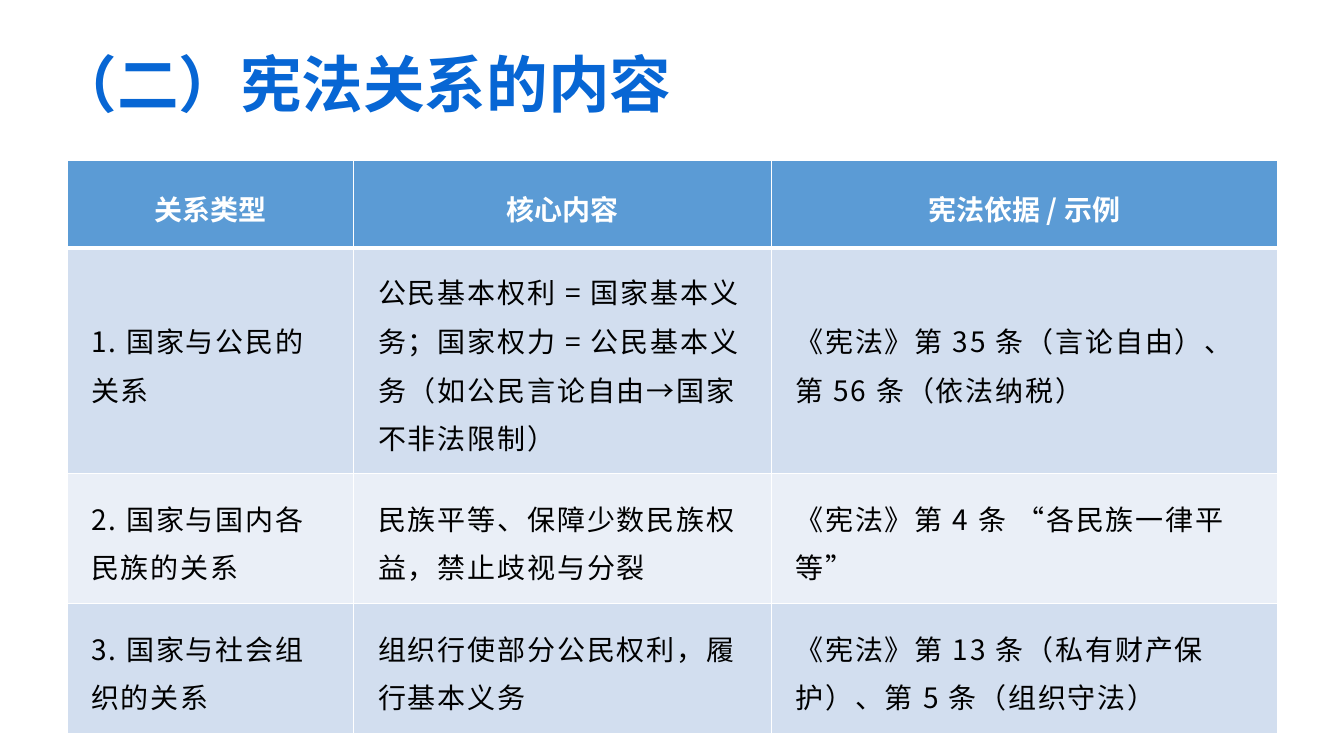
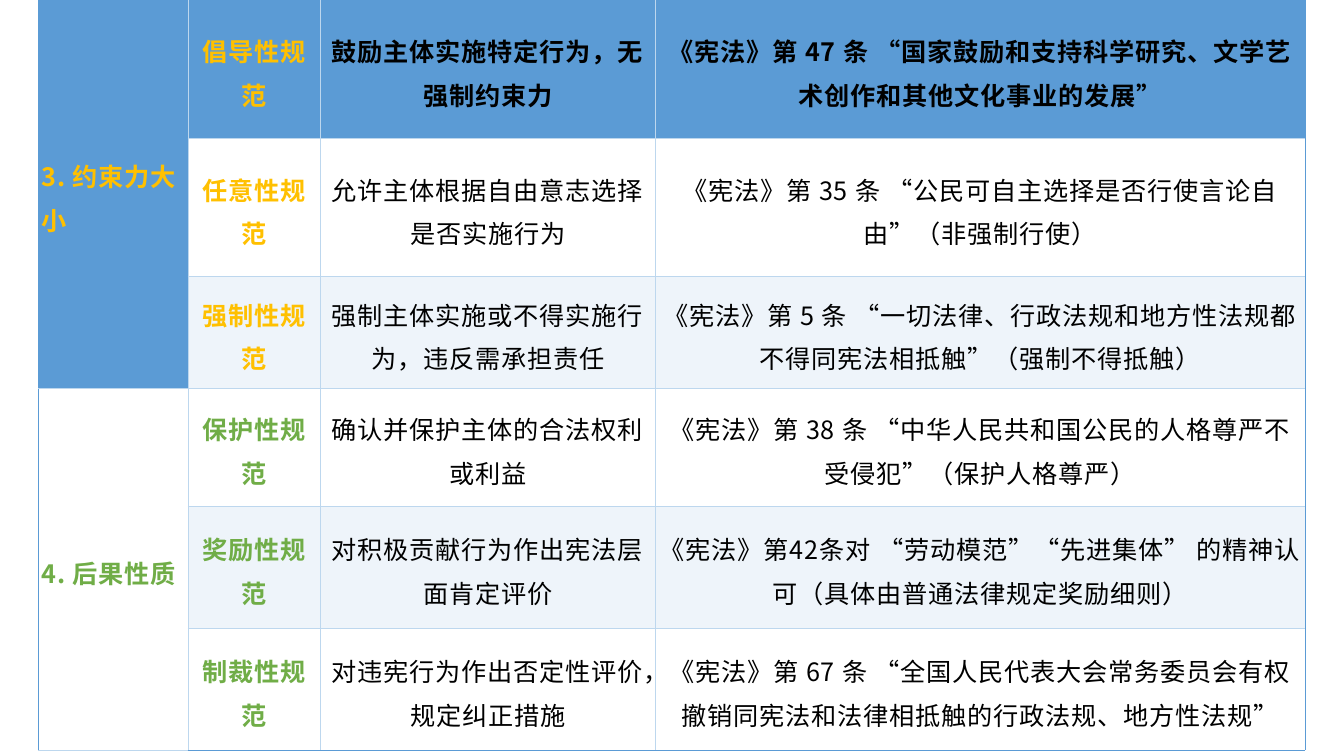
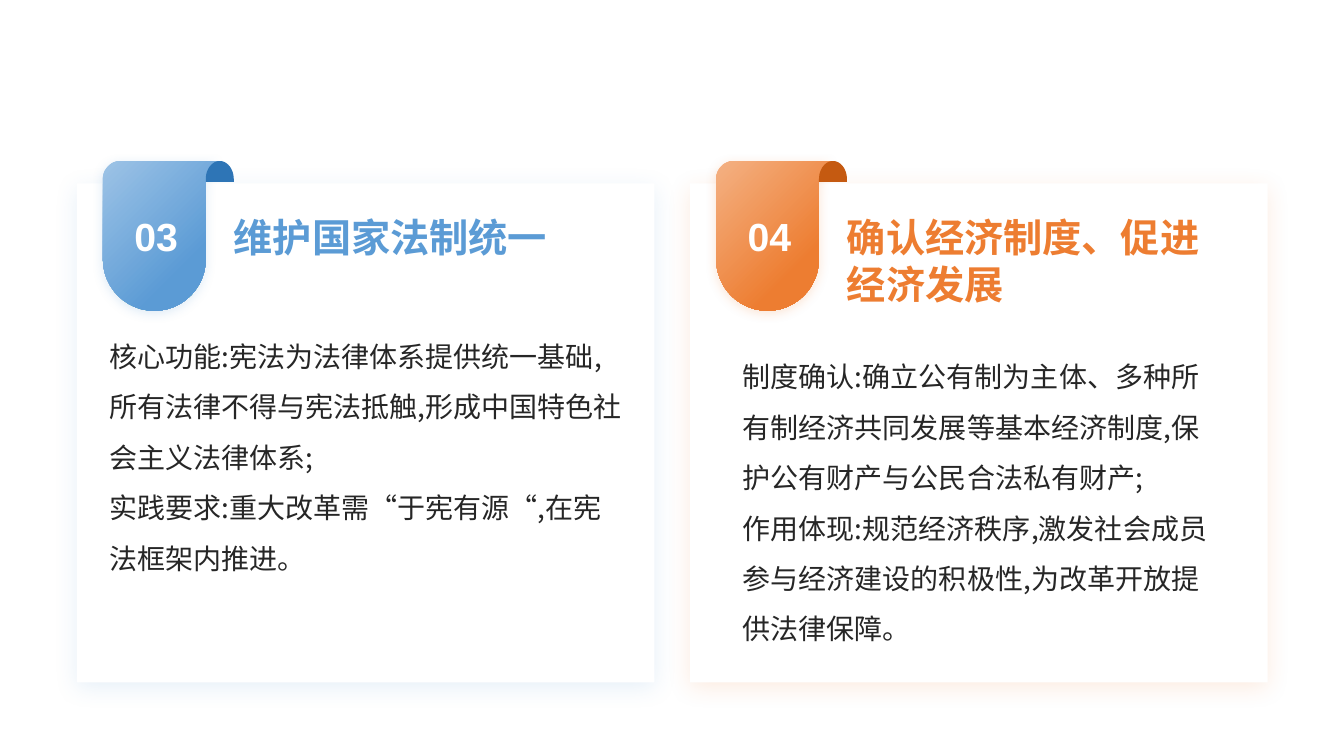
import dataclasses
import math

import lxml.etree
import pptx
import pptx.dml.color
import pptx.enum.lang
import pptx.enum.shapes
import pptx.enum.text
import pptx.oxml.ns
import pptx.util

Pt = pptx.util.Pt
qn = pptx.oxml.ns.qn
ALIGN = pptx.enum.text.PP_ALIGN
ANCHOR = pptx.enum.text.MSO_ANCHOR
TITLE_ONLY, COMPARISON, BLANK = 5, 4, 6


@dataclasses.dataclass(frozen=True)
class Theme:
    title: str = "0766D4"
    blue: str = "5B9BD5"
    blue_light: str = "9DC3E6"
    blue_dark: str = "2E75B6"
    orange: str = "ED7D31"
    orange_light: str = "F4B183"
    orange_dark: str = "C55A11"
    amber: str = "FFC000"
    green: str = "70AD47"
    pale: str = "BDD7EE"
    band_dark: str = "D2DEEF"
    band_light: str = "EAEFF7"
    white: str = "FFFFFF"
    black: str = "000000"
    ink: str = "262626"
    latin: str = "Arial"
    chinese: str = "Noto Sans CJK SC"
    title_size: int = 44
    heading_size: int = 28
    body_size: int = 20
    dense_size: int = 18


THEME = Theme()


def rgb(code):
    return pptx.dml.color.RGBColor.from_string(code)


def assign(target, values):
    for name, value in values.items():
        setattr(target, name, value)


def add_xml(parent, tag, **attributes):
    return lxml.etree.SubElement(parent, qn(tag), attributes)


def arc(cx, cy, rx, ry, start, end, steps=24):
    """Points along an ellipse; degrees run clockwise from the right."""
    angles = (math.radians(start + (end - start) * i / steps) for i in range(steps + 1))
    return [(cx + rx * math.cos(a), cy + ry * math.sin(a)) for a in angles]


class Deck:
    def __init__(self, theme):
        self.theme = theme
        self.file = pptx.Presentation()
        assign(self.file, {"slide_width": Pt(960), "slide_height": Pt(540)})
        self.slide = None

    def new_slide(self, layout):
        self.slide = self.file.slides.add_slide(self.file.slide_layouts[layout])

    def set_text(self, frame, lines, size, color, bold=False, font=None,
                 spacing=None, align=ALIGN.LEFT, leading=1.0, bare=False):
        """Fill a text frame; bare drops inherited bullets and indents."""
        for number, line in enumerate(lines):
            paragraph = frame.paragraphs[0] if number == 0 else frame.add_paragraph()
            if bare:
                properties = paragraph._p.get_or_add_pPr()
                properties.set("marL", "0")
                properties.set("indent", "0")
                add_xml(properties, "a:buNone")
            assign(paragraph, {"alignment": align, "line_spacing": leading,
                               "space_before": Pt(0), "space_after": Pt(0)})
            run = paragraph.add_run()
            run.text = line
            assign(run.font, {
                "size": Pt(size), "bold": bold, "name": font or self.theme.chinese,
                "language_id": pptx.enum.lang.MSO_LANGUAGE_ID.SIMPLIFIED_CHINESE})
            run.font.color.rgb = rgb(color)
            run_properties = run._r.get_or_add_rPr()
            add_xml(run_properties, "a:ea", typeface=self.theme.chinese)
            if spacing:
                run_properties.set("spc", str(round(spacing * 100)))

    def placeholder(self, index, box, lines, inset=False, anchor=ANCHOR.TOP, **text):
        holder = self.slide.placeholders[index]
        assign(holder, dict(zip(("left", "top", "width", "height"), map(Pt, box))))
        holder.element.getparent().append(holder.element)
        frame = holder.text_frame
        assign(frame, {"word_wrap": True, "vertical_anchor": anchor,
                       "auto_size": pptx.enum.text.MSO_AUTO_SIZE.NONE})
        if not inset:
            assign(frame, dict.fromkeys(
                ("margin_left", "margin_top", "margin_right", "margin_bottom"), 0))
        self.set_text(frame, lines, bare=True, **text)

    def title(self, text):
        self.placeholder(0, (32.4, 10, 880, 104.5), [text], inset=True,
                         anchor=ANCHOR.MIDDLE, size=self.theme.title_size, bold=True,
                         color=self.theme.title, font=self.theme.latin, leading=0.9)

    def drop_title(self):
        heading = self.slide.shapes.title.element
        heading.getparent().remove(heading)

    def shadow(self, shape, color, opacity, blur, distance):
        effects = shape.element.spPr.find(qn("a:effectLst"))
        outer = add_xml(effects, "a:outerShdw", blurRad=str(Pt(blur)),
                        dist=str(Pt(distance)), dir="5400000", algn="t", rotWithShape="0")
        tone = add_xml(outer, "a:srgbClr", val=color)
        add_xml(tone, "a:alpha", val=str(opacity * 1000))

    def card(self, box, glow):
        card = self.slide.shapes.add_shape(
            pptx.enum.shapes.MSO_SHAPE.RECTANGLE, *map(Pt, box))
        card.shadow.inherit = False
        card.fill.solid()
        card.fill.fore_color.rgb = rgb(self.theme.white)
        card.line.fill.background()
        self.shadow(card, glow, 15, 17, 4)

    def outline(self, left, top, points):
        (x, y), *rest = [(Pt(left + px), Pt(top + py)) for px, py in points]
        builder = self.slide.shapes.build_freeform(x, y)
        builder.add_line_segments(rest, close=True)
        shape = builder.convert_to_shape()
        shape.shadow.inherit = False
        shape.line.fill.background()
        return shape

    def ribbon(self, left, top, number, light, main, dark):
        width, fold, lip, bend = 73.5, 83.5, 15, 13
        radius = width / 2
        strip = self.outline(left, top, [
            *arc(12.5, bend, 12.5, bend, 180, 270),
            *arc(fold, bend, 9, bend, 270, 180),
            (width, lip),
            *arc(radius, 70, radius, 37, 0, 180)])
        strip.fill.gradient()
        strip.fill.gradient_angle = 315
        for stop, color, position in zip(strip.fill.gradient_stops, (light, main), (0, 0.71)):
            stop.color.rgb = rgb(color)
            stop.position = position
        self.shadow(strip, main, 20, 8, 2)
        assign(strip.text_frame, {
            "margin_left": Pt(7.2), "margin_right": Pt(14.4), "margin_top": Pt(3.6),
            "margin_bottom": Pt(3.6), "word_wrap": False, "vertical_anchor": ANCHOR.MIDDLE})
        self.set_text(strip.text_frame, [number], self.theme.heading_size, self.theme.white,
                      bold=True, font=self.theme.latin, align=ALIGN.CENTER)
        curl = self.outline(left, top, [
            *arc(fold, bend, fold - width, bend, 180, 360),
            (2 * fold - width, lip), (width, lip)])
        curl.fill.solid()
        curl.fill.fore_color.rgb = rgb(dark)

    def table(self, left, top, widths, heights, rows, margins, look):
        """look(row, column) gives fill, opacity, borders (L, R, T, B) and text values."""
        grid = self.slide.shapes.add_table(
            len(rows), len(widths), Pt(left), Pt(top), Pt(sum(widths)), Pt(sum(heights))).table
        assign(grid, {"first_row": False, "horz_banding": False})
        for column, width in zip(grid.columns, widths):
            column.width = Pt(width)
        for row, height in zip(grid.rows, heights):
            row.height = Pt(height)
        side, vertical = map(Pt, margins)
        for r, row in enumerate(rows):
            for c, words in enumerate(row):
                fill, opacity, borders, text = look(r, c)
                cell = grid.cell(r, c)
                assign(cell, {"margin_left": side, "margin_right": side,
                              "margin_top": vertical, "margin_bottom": vertical,
                              "vertical_anchor": ANCHOR.MIDDLE})
                self.borders(cell, borders)
                self.cell_fill(cell, fill, opacity)
                if words:
                    self.set_text(cell.text_frame, [words], leading=1.2, **text)
        return grid

    def borders(self, cell, borders):
        properties = cell._tc.get_or_add_tcPr()
        for edge, (color, width) in zip("LRTB", borders):
            line = add_xml(properties, f"a:ln{edge}", w=str(Pt(width)))
            add_xml(add_xml(line, "a:solidFill"), "a:srgbClr", val=color)

    def cell_fill(self, cell, color, opacity):
        if color is None:
            cell.fill.background()
            return
        cell.fill.solid()
        cell.fill.fore_color.rgb = rgb(color)
        if opacity < 100:
            tone = cell._tc.tcPr.find(qn("a:solidFill")).find(qn("a:srgbClr"))
            add_xml(tone, "a:alpha", val=str(opacity * 1000))


def relations_slide(deck):
    theme = deck.theme
    deck.new_slide(TITLE_ONLY)
    deck.title("（二）宪法关系的内容")
    rows = [
        ("关系类型", "核心内容", "宪法依据 / 示例"),
        ("1. 国家与公民的关系",
         "公民基本权利 = 国家基本义务；国家权力 = 公民基本义务（如公民言论自由→国家不非法限制）",
         "《宪法》第 35 条（言论自由）、第 56 条（依法纳税）"),
        ("2. 国家与国内各民族的关系",
         "民族平等、保障少数民族权益，禁止歧视与分裂",
         "《宪法》第 4 条 “各民族一律平等”"),
        ("3. 国家与社会组织的关系",
         "组织行使部分公民权利，履行基本义务",
         "《宪法》第 13 条（私有财产保护）、第 5 条（组织守法）"),
    ]
    thin, thick = (theme.white, 1), (theme.white, 3)

    def look(r, c):
        if r == 0:
            return theme.blue, 100, (thin, thin, thin, thick), {
                "size": theme.body_size, "color": theme.white, "bold": True,
                "align": ALIGN.CENTER}
        fill = theme.band_dark if r % 2 else theme.band_light
        return fill, 100, (thin, thin, thick if r == 1 else thin, thin), {
            "size": theme.body_size, "color": theme.black, "spacing": 1.3}

    deck.table(47.8, 114.5, (205, 298.1, 361.4), (62.6, 159.8, 92.9, 92.9),
               rows, (17.3, 10.8), look)


def norms_slide(deck):
    theme = deck.theme
    deck.new_slide(BLANK)
    groups = [
        ("3. 约束力大小", theme.amber, [
            ("倡导性规范", "鼓励主体实施特定行为，无强制约束力",
             "《宪法》第 47 条 “国家鼓励和支持科学研究、文学艺术创作和其他文化事业的发展”"),
            ("任意性规范", "允许主体根据自由意志选择是否实施行为",
             "《宪法》第 35 条 “公民可自主选择是否行使言论自由”（非强制行使）"),
            ("强制性规范", "强制主体实施或不得实施行为，违反需承担责任",
             "《宪法》第 5 条 “一切法律、行政法规和地方性法规都不得同宪法相抵触”（强制不得抵触）")]),
        ("4. 后果性质", theme.green, [
            ("保护性规范", "确认并保护主体的合法权利或利益",
             "《宪法》第 38 条 “中华人民共和国公民的人格尊严不受侵犯”（保护人格尊严）"),
            ("奖励性规范", "对积极贡献行为作出宪法层面肯定评价",
             "《宪法》第42条对 “劳动模范”“先进集体” 的精神认可（具体由普通法律规定奖励细则）"),
            ("制裁性规范", "对违宪行为作出否定性评价，规定纠正措施",
             "《宪法》第 67 条 “全国人民代表大会常务委员会有权撤销同宪法和法律相抵触的行政法规、地方性法规”")]),
    ]
    rows, accents, spans = [], [], []
    for basis, accent, norms in groups:
        spans.append((len(rows), len(rows) + len(norms) - 1))
        for i, norm in enumerate(norms):
            rows.append((None if i else basis, *norm))
            accents.append(accent)
    last_row, last_column = len(rows) - 1, 3
    group_ends = {end for _, end in spans}

    def look(r, c):
        strong = (c == 0, c == last_column, r == 0,
                  r in (0, last_row) or (c == 0 and r in group_ends))
        borders = [(theme.blue if edge else theme.pale, 0.75) for edge in strong]
        fill, opacity = None, 100
        if r == 0 or (c == 0 and r <= spans[0][1]):
            fill = theme.blue
        elif c and r % 2 == 0:
            fill, opacity = theme.pale, 25
        return fill, opacity, borders, {
            "size": theme.dense_size, "spacing": 0.6, "bold": c < 2 or r == 0,
            "color": accents[r] if c < 2 else theme.black,
            "align": ALIGN.CENTER if c else ALIGN.LEFT}

    grid = deck.table(27.5, 0, (106.9, 94.3, 239.8, 463.7),
                      (98.9, 98.6, 79.9, 84.2, 87.1, 87.1), rows, (2.2, 2.2), look)
    for start, end in spans:
        grid.cell(start, 0).merge(grid.cell(end, 0))


def functions_slide(deck):
    theme = deck.theme
    deck.new_slide(COMPARISON)
    deck.drop_title()
    functions = [
        ("03", "维护国家法制统一", (theme.blue_light, theme.blue, theme.blue_dark),
         (78, 230.5, 366.5, 228),
         ["核心功能:宪法为法律体系提供统一基础,所有法律不得与宪法抵触,形成中国特色社会主义法律体系;",
          "实践要求:重大改革需“于宪有源“,在宪法框架内推进。"]),
        ("04", "确认经济制度、促进经济发展",
         (theme.orange_light, theme.orange, theme.orange_dark),
         (530.5, 245, 337.7, 214.5),
         ["制度确认:确立公有制为主体、多种所有制经济共同发展等基本经济制度,保护公有财产与公民合法私有财产;",
          "作用体现:规范经济秩序,激发社会成员参与经济建设的积极性,为改革开放提供法律保障。"]),
    ]
    for i, (number, heading, tones, body_box, body) in enumerate(functions):
        left = 55 + 438 * i
        deck.card((left, 131, 412.5, 356.5), tones[1])
        deck.ribbon(left + 18.5, 115, number, *tones)
        deck.placeholder(2 * i + 1, (left + 112, 152, 263, 70.5), [heading], bold=True,
                         size=theme.heading_size, color=tones[1], font=theme.latin)
        deck.placeholder(2 * i + 2, body_box, body, size=theme.body_size,
                         color=theme.ink, leading=1.5)


def main():
    deck = Deck(THEME)
    relations_slide(deck)
    norms_slide(deck)
    functions_slide(deck)
    deck.file.save("out.pptx")


if __name__ == "__main__":
    main()
